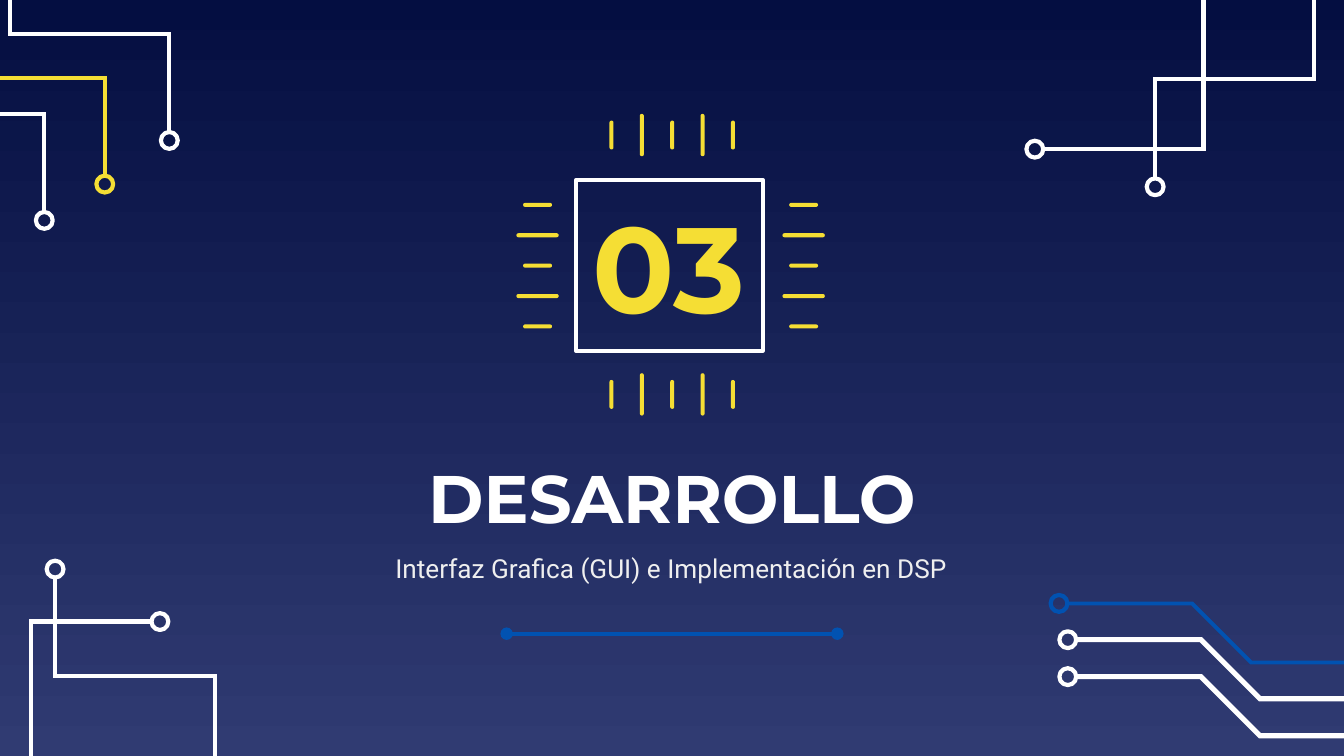
import math

import pptx
import pptx.dml.color
import pptx.enum.shapes
import pptx.enum.text
import pptx.oxml.ns
import pptx.util
from lxml import etree

WIDTH = pptx.util.Inches(10)
HEIGHT = pptx.util.Emu(WIDTH * 9 // 16)
COLS = 100
ROWS = 56.25
NODE = 1.25
WHITE, YELLOW, BLUE, PALE = "FFFFFF", "F5DE34", "0152B1", "EFEFEF"

CIRCUITS = [
    ([(4.1, 42.35), (4.1, 50.3), (16, 50.3), (16, ROWS)], WHITE),
    ([(11.9, 46.25), (2.3, 46.25), (2.3, ROWS)], WHITE),
    ([(77, 11.1), (89.55, 11.1), (89.55, 0)], WHITE),
    ([(85.95, 13.9), (85.95, 5.9), (97.75, 5.9), (97.75, 0)], WHITE),
    ([(3.3, 16.4), (3.3, 8.5), (0, 8.5)], WHITE),
    ([(7.8, 13.7), (7.8, 5.8), (0, 5.8)], YELLOW),
    ([(12.6, 10.45), (12.6, 2.55), (0.75, 2.55), (0.75, 0)], WHITE),
]
BUS = [(78.8, 44.9, BLUE, 2), (79.45, 47.6, WHITE, 2.75), (79.45, 50.35, WHITE, 2.75)]


def col(n):
    return pptx.util.Emu(round(WIDTH * n / COLS))


def row(n):
    return pptx.util.Emu(round(HEIGHT * n / ROWS))


def rgb(value):
    return pptx.dml.color.RGBColor.from_string(value)


def ln_tag(line, name, **attrs):
    ln = line._get_or_add_ln()
    etree.SubElement(ln, pptx.oxml.ns.qn("a:" + name), **attrs)


def style(sp, fill=None, line=None, width=2.25, join=None):
    sp.shadow.inherit = False
    if fill:
        sp.fill.solid()
        sp.fill.fore_color.rgb = rgb(fill)
    else:
        sp.fill.background()
    if line:
        sp.line.color.rgb = rgb(line)
        sp.line.width = pptx.util.Pt(width)
    else:
        sp.line.fill.background()
    if join:
        ln_tag(sp.line, join)


def add_preset(s, kind, x, y, w, h, **look):
    shape_type = getattr(pptx.enum.shapes.MSO_SHAPE, kind)
    sp = s.shapes.add_shape(shape_type, col(x), row(y), col(w), row(h))
    style(sp, **look)
    return sp


def add_text(sp, text, font, size, color, bold=False):
    tf = sp.text_frame
    tf.word_wrap = True
    tf.vertical_anchor = pptx.enum.text.MSO_ANCHOR.MIDDLE
    tf.margin_left = tf.margin_right = col(1)
    tf.margin_top = tf.margin_bottom = row(1)
    p = tf.paragraphs[0]
    p.alignment = pptx.enum.text.PP_ALIGN.CENTER
    r = p.add_run()
    r.text = text
    r.font.name = font
    r.font.size = pptx.util.Pt(size)
    r.font.bold = bold
    r.font.color.rgb = rgb(color)


def add_textbox(s, x, y, w, h, text, **fmt):
    add_text(s.shapes.add_textbox(col(x), row(y), col(w), row(h)), text, **fmt)


def add_circuit(s, points, color, width=2.25):
    (x, y), (next_x, next_y) = points[:2]
    share = NODE / 2 / math.dist(points[0], points[1])
    start = (x + (next_x - x) * share, y + (next_y - y) * share)
    path = [(col(a), row(b)) for a, b in [start] + points[1:]]
    builder = s.shapes.build_freeform(*path[0])
    builder.add_line_segments(path[1:], close=False)
    style(builder.convert_to_shape(), line=color, width=width, join="miter")
    add_preset(s, "OVAL", x - NODE / 2, y - NODE / 2, NODE, NODE, line=color)


def add_bus(s):
    for x, y, color, width in BUS:
        points = [(x, y), (x + 9.9, y), (x + 14.3, y + 4.4), (COLS, y + 4.4)]
        add_circuit(s, points, color, width)


def add_pin(s, x, y, w, h):
    sp = add_preset(s, "ROUNDED_RECTANGLE", x - w / 2, y - h / 2, w, h, fill=YELLOW)
    sp.adjustments[0] = 0.5


def add_chip(s, number):
    sp = add_preset(s, "RECTANGLE", 42.85, 13.4, 13.9, 12.7, line=WHITE, join="round")
    add_text(sp, number, font="Montserrat", size=65, color=YELLOW, bold=True)
    sp.text_frame.word_wrap = False
    for i in range(5):
        length = 3.15 if i % 2 else 2.15
        step = 2.26 * i
        for y in (10.05, 29.35):
            add_pin(s, 45.5 + step, y, 0.3, length)
        for x in (40, 59.8):
            add_pin(s, x, 15.25 + step, length, 0.3)


def add_rule(s, x1, x2, y, color):
    sp = s.shapes.add_connector(
        pptx.enum.shapes.MSO_CONNECTOR.STRAIGHT, col(x1), row(y), col(x2), row(y))
    sp.line.color.rgb = rgb(color)
    sp.line.width = pptx.util.Pt(2.25)
    for end in ("headEnd", "tailEnd"):
        ln_tag(sp.line, end, type="oval")
    etree.SubElement(sp._element.spPr, pptx.oxml.ns.qn("a:effectLst"))


def set_background(s, top, bottom):
    fill = s.background.fill
    fill.gradient()
    fill.gradient_angle = 270
    for stop, color in zip(fill.gradient_stops, (top, bottom)):
        stop.color.rgb = rgb(color)


def main():
    prs = pptx.Presentation()
    prs.slide_width, prs.slide_height = WIDTH, HEIGHT
    s = prs.slides.add_slide(prs.slide_layouts[6])
    set_background(s, "040E41", "303B72")
    add_bus(s)
    for points, color in CIRCUITS:
        add_circuit(s, points, color)
    add_textbox(s, 26.8, 33.6, 46.4, 6.7, "DESARROLLO",
                font="Montserrat", size=36, color=WHITE, bold=True)
    add_chip(s, "03")
    add_textbox(s, 27.4, 39.95, 45.1, 4.6, "Interfaz Grafica (GUI) e Implementación en DSP",
                font="Roboto", size=14, color=PALE)
    add_rule(s, 37.7, 62.3, 47.15, BLUE)
    prs.save("out.pptx")


if __name__ == "__main__":
    main()
